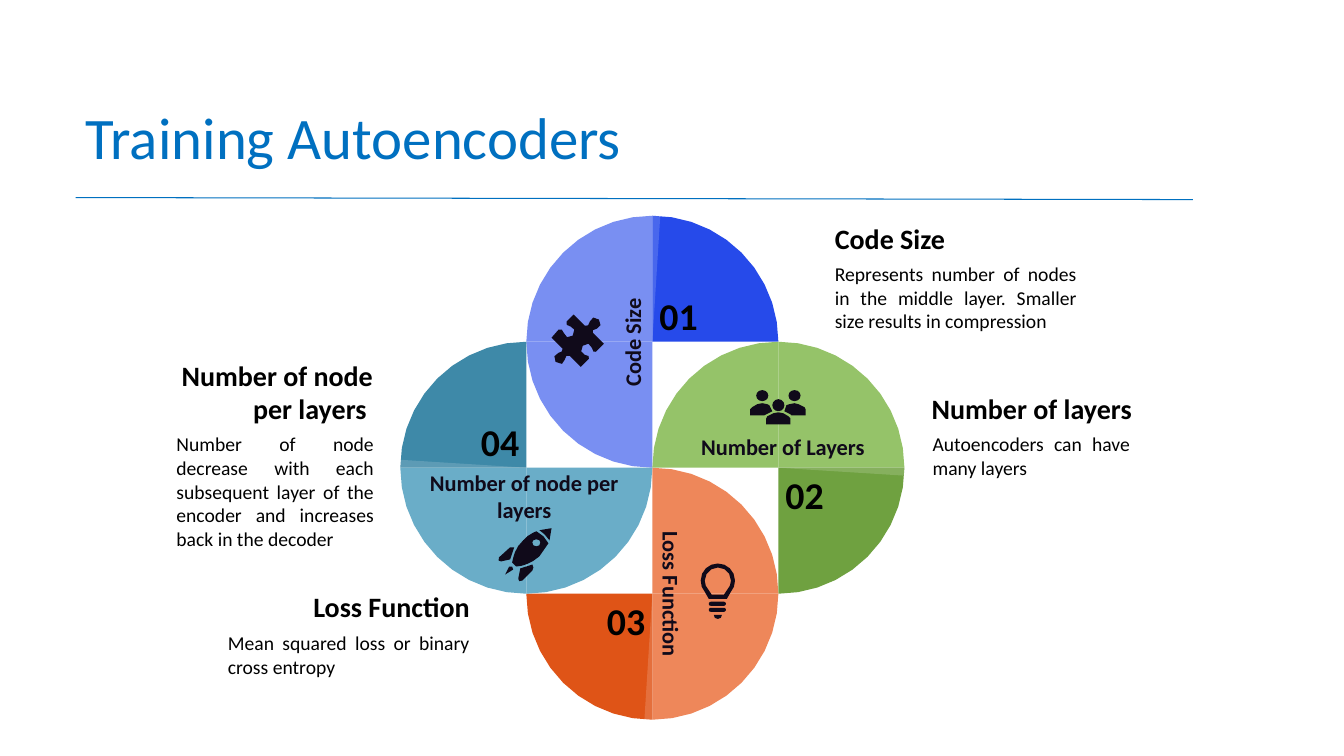
from dataclasses import dataclass
from math import cos, dist, radians, sin

from lxml.etree import SubElement
from pptx import Presentation
from pptx.dml.color import RGBColor
from pptx.enum.shapes import MSO_CONNECTOR, MSO_SHAPE
from pptx.enum.text import MSO_ANCHOR as Anchor, MSO_AUTO_SIZE as AutoSize, PP_ALIGN as Align
from pptx.oxml.ns import qn
from pptx.util import Emu, Pt

PX = 9144  # EMU in one px, 100 px to the inch
HUB_X, HUB_Y, RADIUS = 647, 464, 125
ARC_STEPS = 10
GLINT_ANGLE = 3.6

BLUE = RGBColor(0x00, 0x70, 0xC0)
BLACK = RGBColor(0x00, 0x00, 0x00)
WHITE = RGBColor(0xFF, 0xFF, 0xFF)
INK = RGBColor(0x10, 0x0A, 0x1A)

TITLE_FONT = {"name": "Calibri", "size": Pt(42), "bold": False}
NUMBER_FONT = {"name": "Calibri", "size": Pt(27), "bold": True}
LABEL_FONT = {"name": "Calibri", "size": Pt(16), "bold": True}
HEADING_FONT = {"name": "Calibri", "size": Pt(20), "bold": True}
BODY_FONT = {"name": "Calibri", "size": Pt(14), "bold": False}

Point = tuple[float, float]
Box = tuple[int, int, int, int]


@dataclass
class Petal:
    number: str
    start: int  # angle where the dark quarter begins, clockwise from east
    dark: RGBColor
    light: RGBColor
    align: Align
    anchor: Anchor


@dataclass
class Label:
    text: str
    box: Box
    rotation: int = 0
    wrap: bool = False


@dataclass
class Note:
    heading: str
    heading_box: Box
    body: str
    body_box: Box
    align: Align


PETALS = [
    Petal("01", -90, RGBColor(0x26, 0x4A, 0xEA), RGBColor(0x79, 0x8F, 0xF2), Align.LEFT, Anchor.BOTTOM),
    Petal("02", 0, RGBColor(0x6F, 0xA1, 0x40), RGBColor(0x95, 0xC3, 0x69), Align.LEFT, Anchor.TOP),
    Petal("03", 90, RGBColor(0xDF, 0x54, 0x17), RGBColor(0xEE, 0x87, 0x5A), Align.RIGHT, Anchor.TOP),
    Petal("04", 180, RGBColor(0x3E, 0x89, 0xA8), RGBColor(0x6A, 0xAD, 0xC8), Align.RIGHT, Anchor.BOTTOM),
]
LABELS = [
    Label("Number of node per layers", (395, 460, 250, 64), wrap=True),
    Label("Code Size", (573, 321, 108, 37), 270),
    Label("Number of Layers", (684, 425, 185, 37)),
    Label("Loss Function", (593, 571, 146, 37), 90),
]
NOTES = [
    Note("Number of layers", (924, 383, 208, 44),
         "Autoencoders can have many layers", (925, 424, 196, 57), Align.LEFT),
    Note("Number of node per layers ", (174, 350, 196, 77),
         "Number of node decrease with each subsequent layer of the encoder and increases back in the decoder",
         (175, 424, 196, 128), Align.RIGHT),
    Note("Loss Function", (225, 579, 241, 44),
         "Mean squared loss or binary cross entropy", (226, 621, 240, 57), Align.RIGHT),
    Note("Code Size", (828, 214, 241, 44),
         "Represents number of nodes in the middle layer. Smaller size results in compression",
         (828, 255, 240, 81), Align.LEFT),
]
ROCKET = [
    "M547,524 L535,526 L540,530 L545,536",
    "M510,543 L506,543 L495,553 C493,555,495,558,497,557 L506,555",
    "M528,560 L516,564 L514,574 C513,576,516,578,518,576 L528,566 L529,563",
    "M532,527 C528,529,523,531,519,536 C511,543,509,553,508,558 L512,562 C518,562,527,559,535,552 "
    "L544,539 L539,532 "
    "M535,541 L532,542 L529,541 L528,538 L529,536 L532,535 L535,536 L536,538",
    "M508,562 L505,562 L501,570 L509,565",
]
TORSOS = [
    "M784,421 L784,415 L782,413 L777,410 L772,409 L767,410 L761,413 L760,415 L760,421",
    "M798,404 L792,401 L788,400 L783,401 L780,402 L778,408 L784,411 L785,412 L799,412 L799,406",
    "M760,411 L766,408 L763,402 L761,401 L756,400 L751,401 L746,404 L744,406 L744,412 L758,412",
]
BULB = [
    "M708,610 L709,613 L712,614 L715,613 L716,610",
    "M712,559 C703,559,695,566,695,576 L696,582 L699,587 L703,594 L721,594 L725,587 L728,582 "
    "L729,576 C729,566,721,559,712,559 "
    "M725,576 L724,581 L722,584 L718,590 L706,590 L702,584 L700,581 L699,576 "
    "C699,569,705,563,712,563 C719,563,725,568,725,576",
]
PUZZLE = [
    "M580,352 C576,352,575,346,578,343 C581,339,587,341,587,345 C587,348,590,351,591,349 L599,341 "
    "L588,330 C586,329,589,326,592,326 C596,326,597,320,594,317 C591,313,585,315,585,319 "
    "C585,322,582,325,580,323 L569,312 L562,319 C560,321,563,324,566,324 C570,324,571,329,568,333 "
    "C565,336,559,335,559,330 C559,328,556,325,554,327 L547,335 L558,346 C559,348,556,350,554,350 "
    "C550,350,548,356,551,359 C555,363,561,361,560,357 C560,354,563,351,565,353 L576,364 "
    "L584,356 C586,354,583,352,580,352",
]
HEADS = [(750, 387, 12, 11), (782, 387, 12, 11), (766, 396, 12, 12)]
BULB_RINGS = [(703, 597, 17, 4), (703, 603, 17, 4)]


def scaled(box: Box) -> list[Emu]:
    return [Emu(v * PX) for v in box]


def write(tf, text: str, font: dict, color: RGBColor, align: Align, anchor: Anchor,
          margins: tuple[int, int] = (10, 5), wrap: bool = True, auto_size=AutoSize.NONE) -> None:
    across, down = (Emu(m * PX) for m in margins)
    frame = {"margin_left": across, "margin_right": across, "margin_top": down, "margin_bottom": down,
             "word_wrap": wrap, "auto_size": auto_size, "vertical_anchor": anchor}
    for key, value in frame.items():
        setattr(tf, key, value)
    p = tf.paragraphs[0]
    p.alignment = align
    r = p.add_run()
    r.text = text
    for key, value in font.items():
        setattr(r.font, key, value)
    r.font.color.rgb = color


def paint(sp, color: RGBColor) -> None:
    sp.fill.solid()
    sp.fill.fore_color.rgb = color
    sp.line.fill.background()
    sp.shadow.inherit = False


def trace(outline: str) -> list[list[Point]]:
    """Turn M, L and C commands into contours, with the curves flattened."""
    contours: list[list[Point]] = []
    for command in outline.split():
        n = [int(v) for v in command[1:].split(",")]
        if command[0] == "M":
            contours.append([])
        if command[0] != "C":
            contours[-1].append((n[0], n[1]))
            continue
        (x0, y0), (x1, y1, x2, y2, x3, y3) = contours[-1][-1], n
        steps = 2 + int(dist((x0, y0), (x3, y3)) // 12)
        for t in (i / steps for i in range(1, steps + 1)):
            a, b, c, d = (1 - t) ** 3, 3 * t * (1 - t) ** 2, 3 * t * t * (1 - t), t ** 3
            contours[-1].append((a * x0 + b * x1 + c * x2 + d * x3, a * y0 + b * y1 + c * y2 + d * y3))
    return contours


def draw_contours(s, contours: list[list[Point]], color: RGBColor):
    pen = None
    for contour in contours:
        first, *rest = [(x * PX, y * PX) for x, y in contour]
        if pen is None:
            pen = s.shapes.build_freeform(*first)
        else:
            pen.move_to(*first)
        pen.add_line_segments(rest, close=True)
    sp = pen.convert_to_shape()
    paint(sp, color)
    return sp


def sector(x: float, y: float, start: float, sweep: float = 90, steps: int = ARC_STEPS) -> list[Point]:
    angles = [radians(start + sweep * i / steps) for i in range(steps + 1)]
    return [(x, y)] + [(x + RADIUS * cos(a), y + RADIUS * sin(a)) for a in angles]


def draw_petal(s, petal: Petal) -> None:
    x = HUB_X + RADIUS * cos(radians(petal.start))
    y = HUB_Y + RADIUS * sin(radians(petal.start))
    for turn in (180, 270):
        draw_contours(s, [sector(x, y, petal.start + turn)], petal.light)
    dark = draw_contours(s, [sector(x, y, petal.start)], petal.dark)
    write(dark.text_frame, petal.number, NUMBER_FONT, BLACK, petal.align, petal.anchor, (7, 4))
    glint = draw_contours(s, [sector(x, y, petal.start, GLINT_ANGLE, 1)], WHITE)
    glint_color = glint._element.spPr.find(qn("a:solidFill")).find(qn("a:srgbClr"))
    SubElement(glint_color, qn("a:alpha"), val="16000")


def draw_icons(s) -> None:
    for outline in ROCKET + TORSOS + BULB + PUZZLE:
        draw_contours(s, trace(outline), INK)
    for box in HEADS:
        paint(s.shapes.add_shape(MSO_SHAPE.OVAL, *scaled(box)), INK)
    for box in BULB_RINGS:
        sp = s.shapes.add_shape(MSO_SHAPE.ROUNDED_RECTANGLE, *scaled(box))
        sp.adjustments[0] = 0.5
        paint(sp, INK)


def draw_label(s, label: Label) -> None:
    sp = s.shapes.add_textbox(*scaled(label.box))
    sp.rotation = label.rotation
    write(sp.text_frame, label.text, LABEL_FONT, INK, Align.CENTER, Anchor.MIDDLE,
          wrap=label.wrap, auto_size=AutoSize.SHAPE_TO_FIT_TEXT)


def draw_note(s, note: Note) -> None:
    for text, box, font, align, anchor in (
            (note.heading, note.heading_box, HEADING_FONT, note.align, Anchor.BOTTOM),
            (note.body, note.body_box, BODY_FONT, Align.JUSTIFY, Anchor.TOP)):
        sp = s.shapes.add_textbox(*scaled(box))
        write(sp.text_frame, text, font, BLACK, align, anchor, (0, 5), auto_size=AutoSize.SHAPE_TO_FIT_TEXT)


def draw_title(s) -> None:
    title = s.shapes.title
    title.left, title.top, title.width, title.height = scaled((75, 72, 1108, 125))
    write(title.text_frame, "Training Autoencoders", TITLE_FONT, BLUE, Align.LEFT, Anchor.MIDDLE)
    rule = s.shapes.add_connector(MSO_CONNECTOR.STRAIGHT, *scaled((75, 196, 1183, 198)))
    rule.line.color.rgb = BLUE
    rule.line.width = Pt(0.75)
    SubElement(rule._element.spPr, qn("a:effectLst"))


def main() -> None:
    prs = Presentation()
    prs.slide_width, prs.slide_height = Emu(1333 * PX), Emu(750 * PX)
    s = prs.slides.add_slide(prs.slide_layouts[5])
    draw_title(s)
    for petal in PETALS:
        draw_petal(s, petal)
    for label in LABELS:
        draw_label(s, label)
    draw_icons(s)
    for note in NOTES:
        draw_note(s, note)
    prs.save("out.pptx")


if __name__ == "__main__":
    main()
